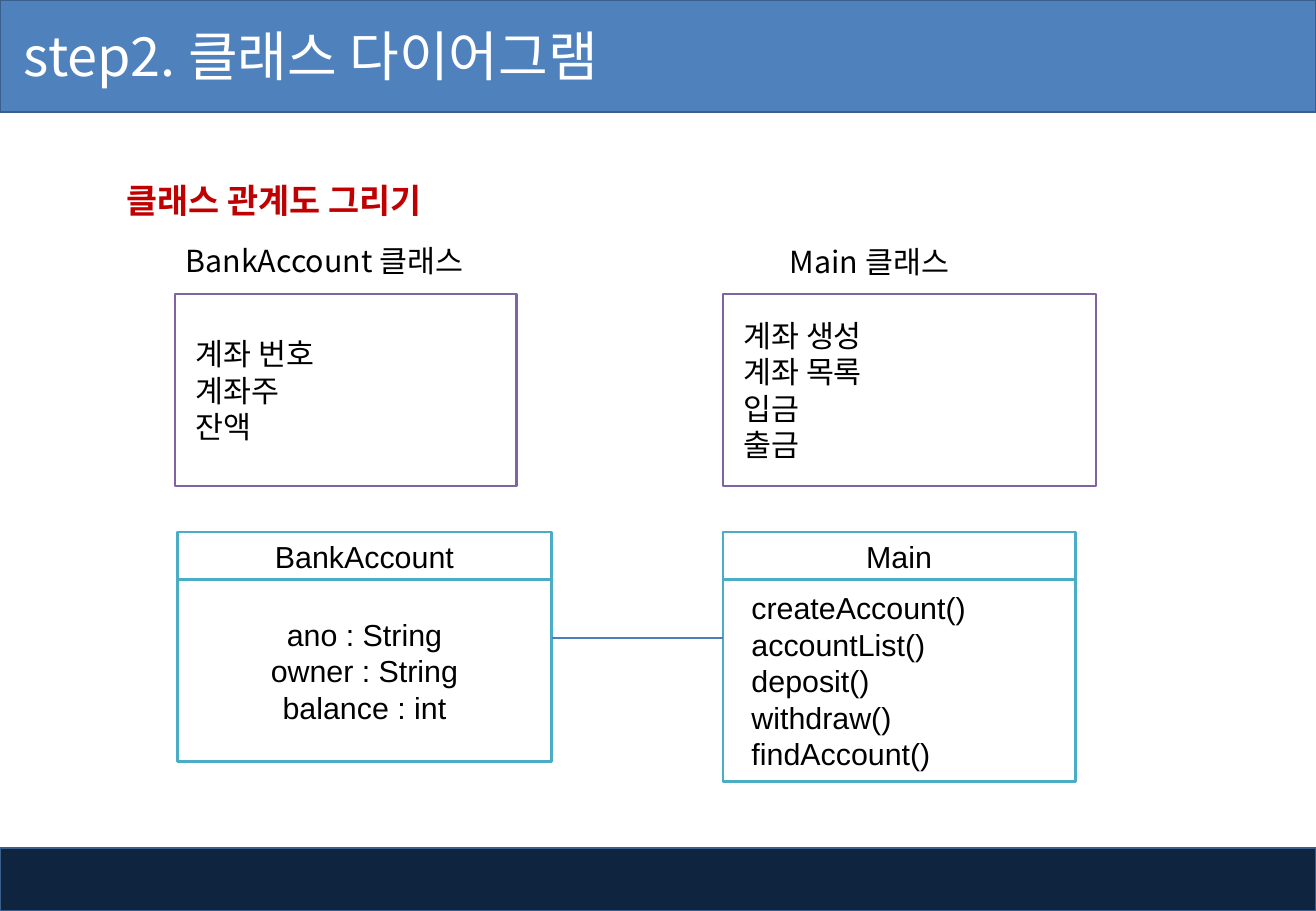
"""Build the class diagram slide for the bank account exercise."""
from lxml import etree
from pptx import Presentation
from pptx.dml.color import RGBColor
from pptx.enum.shapes import MSO_CONNECTOR, MSO_SHAPE
from pptx.enum.text import MSO_ANCHOR as Anchor, PP_ALIGN as Align
from pptx.oxml.ns import qn
from pptx.util import Cm, Pt

WHITE = RGBColor(0xFF, 0xFF, 0xFF)
BLACK = RGBColor(0x00, 0x00, 0x00)
RED = RGBColor(0xC0, 0x00, 0x00)
NAVY = RGBColor(0x0F, 0x24, 0x3E)
BLUE = RGBColor(0x4F, 0x81, 0xBD)
BAR_EDGE = RGBColor(0x3A, 0x5F, 0x8C)
LINK_BLUE = RGBColor(0x4B, 0x7E, 0xBC)
TEAL = RGBColor(0x4B, 0xAC, 0xC6)
PURPLE = RGBColor(0x80, 0x64, 0xA2)
KOREAN = "Noto Sans CJK KR"


def write_text(shape, text, font="Arial", size=18, color=BLACK, bold=False,
               align=Align.LEFT, anchor=Anchor.MIDDLE, inset=0.25, pitch=None):
    frame = shape.text_frame
    frame.text = text
    frame.word_wrap = True
    frame.vertical_anchor = anchor
    frame.margin_left = Cm(inset)
    frame.margin_right = Cm(0.25)
    frame.margin_top = frame.margin_bottom = Cm(0.13)
    for paragraph in frame.paragraphs:
        paragraph.alignment = align
        paragraph.line_spacing = pitch
        for run in paragraph.runs:
            run.font.name = font
            run.font.size = Pt(size)
            run.font.bold = bold
            run.font.color.rgb = color
    for latin in list(shape.element.iter(qn("a:latin"))):
        east_asian = etree.Element(qn("a:ea"), typeface=KOREAN)
        latin.addnext(east_asian)


def add_box(left, top, width, height, fill, edge, weight=1.5):
    shape = slide.shapes.add_shape(MSO_SHAPE.RECTANGLE, Cm(left), Cm(top), Cm(width), Cm(height))
    shape.shadow.inherit = False
    shape.fill.solid()
    shape.fill.fore_color.rgb = fill
    shape.line.color.rgb = edge
    shape.line.width = Pt(weight)
    return shape


presentation = Presentation()
presentation.slide_width = Cm(27.51)
presentation.slide_height = Cm(19.05)
slide = presentation.slides.add_slide(presentation.slide_layouts[5])

title = slide.shapes.title
for top, height, fill in [(17.73, 1.32, NAVY), (0, 2.34, BLUE)]:
    bar = add_box(0, top, 27.51, height, fill, BAR_EDGE, 1)
    title.element.addprevious(bar.element)

title.left, title.top, title.width, title.height = Cm(0), Cm(-0.05), Cm(19.96), Cm(2.39)
write_text(title, "step2. 클래스 다이어그램", font=KOREAN, size=32, color=WHITE, inset=0.5)

captions = [
    ("클래스 관계도 그리기", 1.75, 3.28, 10.7, 1.8,
     dict(size=20, color=RED, bold=True, inset=0.9, anchor=Anchor.MIDDLE)),
    ("BankAccount 클래스", 3.63, 4.93, 6.81, 1.02, dict(anchor=Anchor.TOP)),
    ("Main 클래스", 16.26, 4.95, 5.26, 1.02, dict(anchor=Anchor.TOP)),
]
for text, left, top, width, height, text_format in captions:
    caption = slide.shapes.add_textbox(Cm(left), Cm(top), Cm(width), Cm(height))
    write_text(caption, text, font=KOREAN, **text_format)

concepts = [
    (3.66, 7.14, "계좌 번호\n계좌주\n잔액"),
    (15.11, 7.8, "계좌 생성\n계좌 목록\n입금\n출금"),
]
for left, width, text in concepts:
    concept = add_box(left, 6.15, width, 4.01, WHITE, PURPLE)
    write_text(concept, text, inset=0.43, pitch=Pt(21.6))

classes = [
    ("BankAccount", "ano : String\nowner : String\nbalance : int",
     3.71, 7.82, 3.81, dict(align=Align.CENTER)),
    ("Main", "createAccount()\naccountList()\ndeposit()\nwithdraw()\nfindAccount()",
     15.11, 7.37, 4.22, dict(inset=0.6)),
]
for name, members, left, width, height, text_format in classes:
    header = add_box(left, 11.13, width, 0.99, WHITE, TEAL)
    write_text(header, name, align=Align.CENTER)
    body = add_box(left, 12.12, width, height, WHITE, TEAL)
    write_text(body, members, pitch=Pt(21.6), **text_format)

link = slide.shapes.add_connector(MSO_CONNECTOR.STRAIGHT, Cm(11.53), Cm(13.34), Cm(15.11), Cm(13.34))
link.line.color.rgb = LINK_BLUE
link.line.width = Pt(1.5)
etree.SubElement(link.element.spPr, qn("a:effectLst"))

presentation.save("out.pptx")
